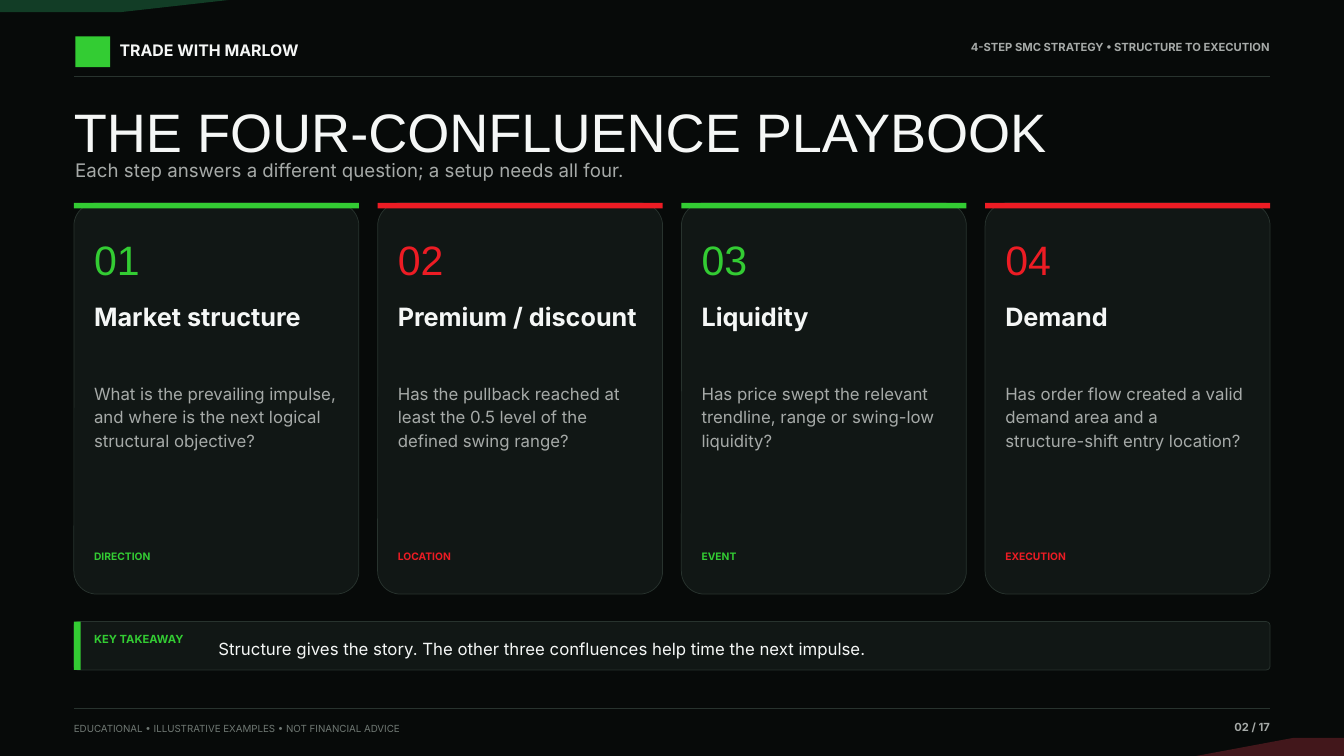
from lxml import etree
from pptx import Presentation
from pptx.dml.color import RGBColor
from pptx.enum.shapes import MSO_CONNECTOR, MSO_SHAPE
from pptx.enum.text import MSO_ANCHOR, MSO_AUTO_SIZE, PP_ALIGN
from pptx.oxml.ns import qn
from pptx.util import Pt

RECT, ROUND = MSO_SHAPE.RECTANGLE, MSO_SHAPE.ROUNDED_RECTANGLE
STRAIGHT = MSO_CONNECTOR.STRAIGHT
LEFT, RIGHT = PP_ALIGN.LEFT, PP_ALIGN.RIGHT
TOP, MIDDLE = MSO_ANCHOR.TOP, MSO_ANCHOR.MIDDLE
GROW = MSO_AUTO_SIZE.SHAPE_TO_FIT_TEXT

BLACK = RGBColor(0x07, 0x0A, 0x09)
PANEL = RGBColor(0x11, 0x17, 0x15)
EDGE = RGBColor(0x28, 0x33, 0x2E)
WHITE = RGBColor(0xF5, 0xF7, 0xF6)
GREY = RGBColor(0xA6, 0xAA, 0xA8)
DIM = RGBColor(0x6F, 0x78, 0x73)
GREEN = RGBColor(0x33, 0xCC, 0x33)
RED = RGBColor(0xED, 0x1C, 0x24)
FOREST = RGBColor(0x12, 0x3D, 0x26)
WINE = RGBColor(0x42, 0x17, 0x1B)

WIDE, HIGH = 1440, 810
EDGE_X, BODY_W = 79.2, 1281.6
GAP, PAD = 20.16, 21.6

CARDS = [
    ("Market structure", "DIRECTION", GREEN,
     ["What is the prevailing impulse,", "and where is the next logical",
      "structural objective?"]),
    ("Premium / discount", "LOCATION", RED,
     ["Has the pullback reached at", "least the 0.5 level of the",
      "defined swing range?"]),
    ("Liquidity", "EVENT", GREEN,
     ["Has price swept the relevant", "trendline, range or swing-low",
      "liquidity?"]),
    ("Demand", "EXECUTION", RED,
     ["Has order flow created a valid", "demand area and a",
      "structure-shift entry location?"]),
]


def add_block(slide, box, fill, kind=RECT, line=None):
    """Add a filled preset shape, with an outline if a line colour is given."""
    shape = slide.shapes.add_shape(kind, *map(Pt, box))
    shape.shadow.inherit = False
    shape.fill.solid()
    shape.fill.fore_color.rgb = fill
    if kind == ROUND:
        shape.adjustments[0] = 0.08
    if line is None:
        shape.line.fill.background()
    else:
        shape.line.color.rgb = line
        shape.line.width = Pt(0.8)


def add_rule(slide, left, top, width):
    """Add a thin horizontal rule."""
    rule = slide.shapes.add_connector(
        STRAIGHT, Pt(left), Pt(top), Pt(left + width), Pt(top))
    rule.line.color.rgb = EDGE
    rule.line.width = Pt(0.8)
    etree.SubElement(rule._element.spPr, qn("a:effectLst"))


def add_wedge(slide, points, fill):
    """Add a filled polygon."""
    start, *rest = [(Pt(x), Pt(y)) for x, y in points]
    pen = slide.shapes.build_freeform(*start)
    pen.add_line_segments(rest, close=True)
    shape = pen.convert_to_shape()
    shape.shadow.inherit = False
    shape.fill.solid()
    shape.fill.fore_color.rgb = fill
    shape.line.fill.background()


def add_text(slide, box, lines, size, color, bold=False, font="Inter",
             align=LEFT, anchor=TOP, space=1.18):
    """Add a text box with one paragraph for each line."""
    frame = slide.shapes.add_textbox(*map(Pt, box)).text_frame
    frame.margin_left = frame.margin_right = 0
    frame.margin_top = frame.margin_bottom = 0
    frame.word_wrap = False
    frame.auto_size = GROW
    frame.vertical_anchor = anchor
    for index, line in enumerate(lines):
        para = frame.add_paragraph() if index else frame.paragraphs[0]
        para.alignment = align
        para.line_spacing = space
        run = para.add_run()
        run.text = line
        run.font.name = font
        run.font.size = Pt(size)
        run.font.bold = bold
        run.font.color.rgb = color


def add_back(slide, wide, high):
    """Add the dark ground and its two corner wedges."""
    add_block(slide, (0, 0, wide, high), BLACK)
    add_wedge(slide, [(0, 0), (244.8, 0), (129.6, 12.96), (0, 12.96)], FOREST)
    add_wedge(slide, [(wide, high), (wide - 158.4, high),
                      (wide - 54, high - 19.44), (wide, high - 19.44)], WINE)


def add_header(slide, left, top, width):
    """Add the mark, the name, the topic and the rule below them."""
    add_block(slide, (left + 1.44, top, 37.44, 33), GREEN)
    add_text(slide, (left + 48.96, top + 1.44, 280.8, 24.48),
             ["TRADE WITH MARLOW"], 17, WHITE, True)
    add_text(slide, (left + width - 352.8, top + 1.44, 352.8, 23.04),
             ["4-STEP SMC STRATEGY • STRUCTURE TO EXECUTION"], 12, GREY, True,
             align=RIGHT)
    add_rule(slide, left, top + 42.48, width)


def add_title(slide, left, top, width):
    """Add the title and the line below it."""
    add_text(slide, (left, top, width, 63.36),
             ["THE FOUR-CONFLUENCE PLAYBOOK"], 58, WHITE, font="Arial",
             space=1)
    add_text(slide, (left + 1.44, top + 60.48, width - 43.2, 30.96),
             ["Each step answers a different question; a setup needs all four."],
             20, GREY)


def add_card(slide, box, number, card):
    """Add one numbered step card."""
    left, top, width, high = box
    name, tag, color, lines = card
    inner, room = left + PAD, width - 2 * PAD
    add_block(slide, box, PANEL, ROUND, EDGE)
    add_block(slide, (left, top, width, 5.76), color)
    add_text(slide, (inner, top + 24.48, room, 51.84), [f"{number:02}"], 44,
             color, font="Arial")
    add_text(slide, (inner, top + 99.36, room, 77.76), [name], 27, WHITE, True)
    add_text(slide, (inner, top + 189.36, room, 154.8), lines, 18, GREY)
    add_text(slide, (inner, top + high - 49.68, room, 21.6), [tag], 11, color,
             True)


def add_cards(slide, left, top, width, high):
    """Spread the step cards evenly over a row."""
    step = (width + GAP) / len(CARDS)
    for index, card in enumerate(CARDS):
        box = (left + index * step, top, step - GAP, high)
        add_card(slide, box, index + 1, card)


def add_key(slide, left, top, width, high):
    """Add the takeaway bar."""
    add_block(slide, (left, top, width, high), PANEL, ROUND, EDGE)
    add_block(slide, (left, top, 7.2, high), GREEN)
    add_text(slide, (left + PAD, top + 9.36, 133.2, 18.72), ["KEY TAKEAWAY"],
             12, GREEN, True)
    add_text(slide, (left + 154.8, top + 7.2, width - 174.24, 40.32),
             ["Structure gives the story. The other three confluences help "
              "time the next impulse."], 18, WHITE, anchor=MIDDLE)


def add_footer(slide, left, top, width):
    """Add the rule, the notice and the page number."""
    add_rule(slide, left, top, width)
    add_text(slide, (left, top + 12.96, 576, 18),
             ["EDUCATIONAL • ILLUSTRATIVE EXAMPLES • NOT FINANCIAL ADVICE"],
             10.5, DIM)
    add_text(slide, (left + width - 122.4, top + 10.08, 122.4, 20.16),
             ["02 / 17"], 12, GREY, True, align=RIGHT)


def main():
    """Build the slide and save it."""
    deck = Presentation()
    deck.slide_width, deck.slide_height = Pt(WIDE), Pt(HIGH)
    slide = deck.slides.add_slide(deck.slide_layouts[6])
    add_back(slide, WIDE, HIGH)
    add_header(slide, EDGE_X, 38.88, BODY_W)
    add_footer(slide, EDGE_X, 758.88, BODY_W)
    add_title(slide, EDGE_X, 105.12, BODY_W)
    add_cards(slide, EDGE_X, 217.44, BODY_W, 419.04)
    add_key(slide, EDGE_X, 666, BODY_W, 51.84)
    deck.save("out.pptx")


if __name__ == "__main__":
    main()
